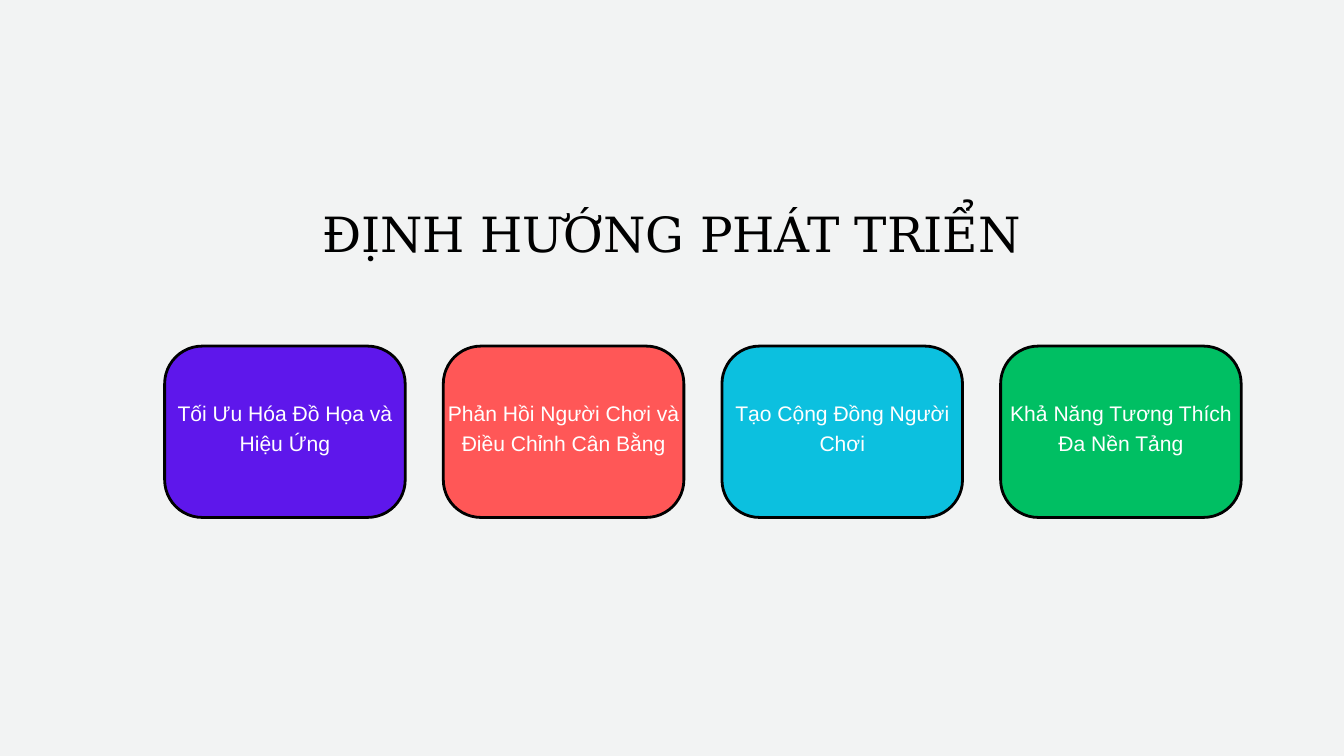
import pptx
import pptx.util
import pptx.dml.color
import pptx.enum.shapes
import pptx.enum.text

COLS, ROWS = 20, 11.25
INK, WHITE, PAPER = "000000", "FFFFFF", "F2F3F3"
LEFT, RIGHT, TOP = 2.45, 18.47, 5.15
WIDE, HIGH, CURVE = 3.58, 2.55, 0.56
LIFT, PAD = 0.17, 0.06

GOALS = [
    ("Tối Ưu Hóa Đồ Họa và Hiệu Ứng", "5E17EB"),
    ("Phản Hồi Người Chơi và Điều Chỉnh Cân Bằng", "FF5757"),
    ("Tạo Cộng Đồng Người Chơi", "0CC0DF"),
    ("Khả Năng Tương Thích Đa Nền Tảng", "00BF63"),
]


def tint(code):
    return pptx.dml.color.RGBColor.from_string(code)


class Deck:
    def __init__(self):
        self.show = pptx.Presentation()
        self.show.slide_width = pptx.util.Inches(20)
        self.show.slide_height = pptx.util.Inches(11.25)
        self.slide = self.show.slides.add_slide(self.show.slide_layouts[5])
        back = self.slide.background.fill
        back.solid()
        back.fore_color.rgb = tint(PAPER)

    def grid(self, col, row, wide, high):
        across = self.show.slide_width / COLS
        down = self.show.slide_height / ROWS
        return [int(n) for n in (col * across, row * down, wide * across, high * down)]

    def letter(self, shape, text, font, size, color, lead, pad, anchor):
        frame = shape.text_frame
        frame.text = text
        frame.word_wrap = True
        frame.auto_size = pptx.enum.text.MSO_AUTO_SIZE.NONE
        frame.vertical_anchor = anchor
        frame.margin_left = frame.margin_right = pptx.util.Inches(pad)
        frame.margin_top = frame.margin_bottom = pptx.util.Inches(pad)
        line = frame.paragraphs[0]
        line.alignment = pptx.enum.text.PP_ALIGN.CENTER
        line.line_spacing = pptx.util.Pt(lead)
        line.font.name = font
        line.font.size = pptx.util.Pt(size)
        line.font.color.rgb = tint(color)

    def title(self, text, *place):
        head = self.slide.shapes.title
        head.left, head.top, head.width, head.height = self.grid(*place)
        self.letter(head, text, "DejaVu Serif", 52, INK, 72.8, 0,
                    pptx.enum.text.MSO_ANCHOR.TOP)

    def card(self, text, color, col, row, wide, high):
        group = self.slide.shapes.add_group_shape()
        box = group.shapes.add_shape(
            pptx.enum.shapes.MSO_SHAPE.ROUNDED_RECTANGLE,
            *self.grid(col, row, wide, high))
        box.adjustments[0] = CURVE / high
        box.shadow.inherit = False
        box.fill.solid()
        box.fill.fore_color.rgb = tint(color)
        box.line.color.rgb = tint(INK)
        box.line.width = pptx.util.Pt(3)
        label = group.shapes.add_textbox(
            *self.grid(col, row - LIFT, wide, high + LIFT))
        self.letter(label, text, "Arial", 22.6, WHITE, 31.7, PAD,
                    pptx.enum.text.MSO_ANCHOR.MIDDLE)


def main():
    deck = Deck()
    deck.title("ĐỊNH HƯỚNG PHÁT TRIỂN", 4.35, 2.89, 11.29, 0.99)
    step = (RIGHT - LEFT - WIDE) / (len(GOALS) - 1)
    for i, (text, color) in enumerate(GOALS):
        deck.card(text, color, LEFT + i * step, TOP, WIDE, HIGH)
    deck.show.save("out.pptx")


if __name__ == "__main__":
    main()
